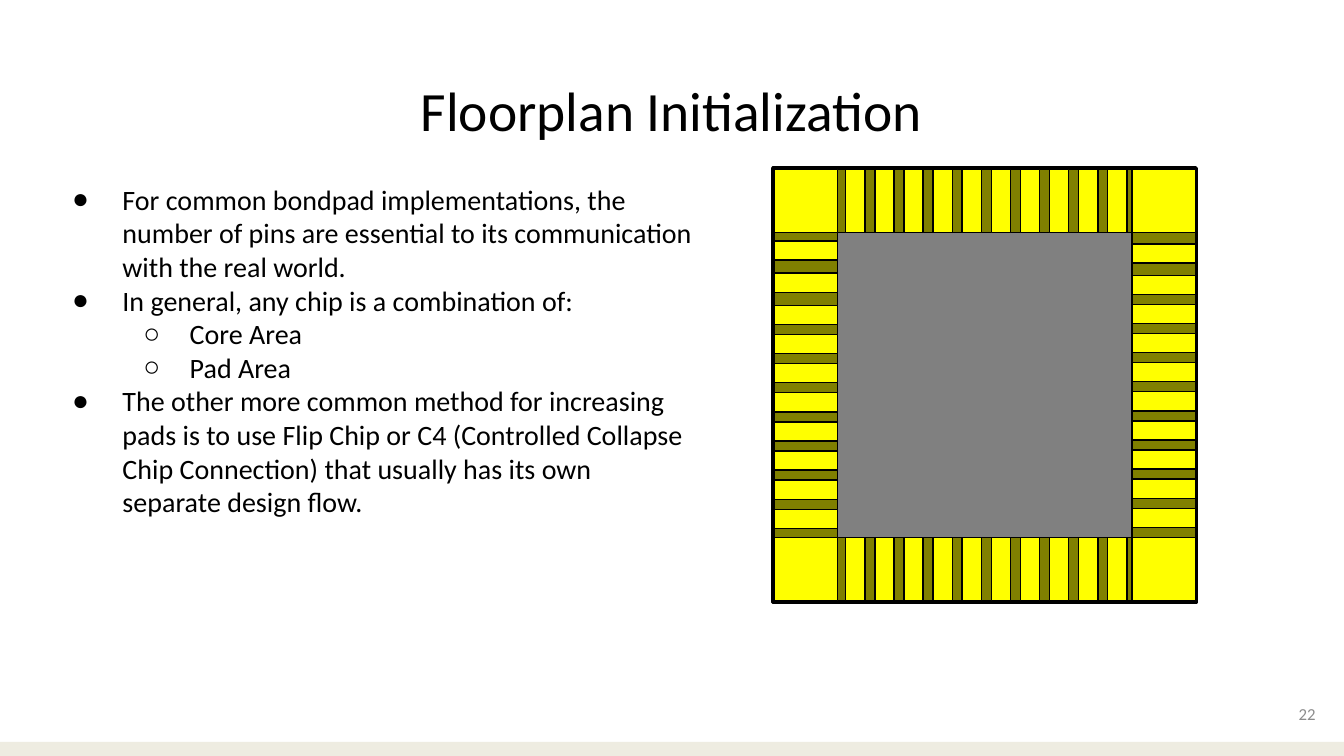
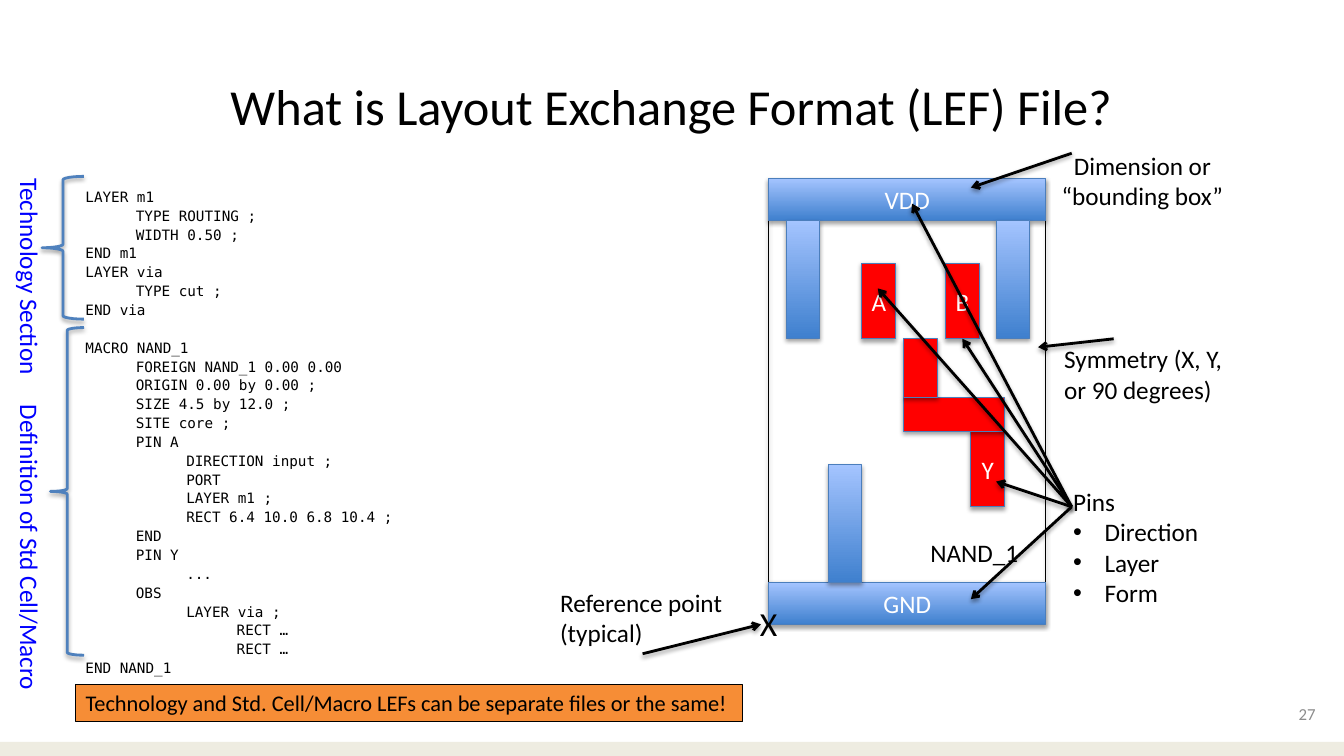
from pptx import Presentation
from pptx.dml.color import RGBColor
from pptx.enum import shapes, text
from pptx.oxml import parse_xml
from pptx.oxml.ns import qn
from pptx.util import Pt

BLACK = RGBColor(0x00, 0x00, 0x00)
WHITE = RGBColor(0xFF, 0xFF, 0xFF)
BAND = RGBColor(0xEE, 0xEC, 0xE1)
NUMBER_GRAY = RGBColor(0x8C, 0x8C, 0x8C)
CORE_GRAY = RGBColor(0x80, 0x80, 0x80)
OLIVE = RGBColor(0x80, 0x80, 0x00)
YELLOW = RGBColor(0xFF, 0xFF, 0x00)
LABEL_BLUE = RGBColor(0x00, 0x00, 0xFF)
BRACE_BLUE = RGBColor(0x4F, 0x81, 0xBD)
EDGE_BLUE = RGBColor(0x4B, 0x7E, 0xBC)
METAL = (RGBColor(0x3F, 0x80, 0xCE), RGBColor(0xA4, 0xC4, 0xFF))
RED = RGBColor(0xFF, 0x00, 0x00)
ORANGE = RGBColor(0xF6, 0x8D, 0x36)

FONT, CODE_FONT = "Calibri", "DejaVu Sans Mono"
RECT, BRACE = shapes.MSO_SHAPE.RECTANGLE, shapes.MSO_SHAPE.LEFT_BRACE
LEFT, CENTER, RIGHT = text.PP_ALIGN.LEFT, text.PP_ALIGN.CENTER, text.PP_ALIGN.RIGHT
TOP, MIDDLE = text.MSO_ANCHOR.TOP, text.MSO_ANCHOR.MIDDLE
A_NS = 'xmlns:a="http://schemas.openxmlformats.org/drawingml/2006/main"'
SHADOW = (f'<a:outerShdw {A_NS} blurRad="40000" dist="23000" dir="5400000" rotWithShape="0">'
          '<a:srgbClr val="000000"><a:alpha val="36000"/></a:srgbClr></a:outerShdw>')


def box(s, area, fill=None, line=None, width=1, shape=RECT, shadow=False):
    """Draw a preset shape; a pair of colours as fill gives a bottom-to-top gradient."""
    sp = s.shapes.add_shape(shape, *map(Pt, area))
    if fill is None:
        sp.fill.background()
    elif fill is METAL:
        sp.fill.gradient()
        sp.fill.gradient_angle = 90
        for stop, color in zip(sp.fill.gradient_stops, fill):
            stop.color.rgb = color
    else:
        sp.fill.solid()
        sp.fill.fore_color.rgb = fill
    if line is None:
        sp.line.fill.background()
    else:
        sp.line.color.rgb = line
        sp.line.width = Pt(width)
    sp.shadow.inherit = False
    if shadow:
        sp.element.spPr.find(qn("a:effectLst")).append(parse_xml(SHADOW))
    return sp


def write(sp, paras, size, color=BLACK, font=FONT, align=LEFT, anchor=TOP,
          pad=3.6, wrap=True, spacing=None):
    """Fill a shape with paragraphs given as (text, left margin, indent, bullet)."""
    tf = sp.text_frame
    frame = {"word_wrap": wrap, "vertical_anchor": anchor, "margin_left": Pt(7.2),
             "margin_right": Pt(7.2), "margin_top": Pt(pad), "margin_bottom": Pt(pad)}
    if not wrap:
        frame["auto_size"] = text.MSO_AUTO_SIZE.SHAPE_TO_FIT_TEXT
    for name, value in frame.items():
        setattr(tf, name, value)
    for i, (words, margin, indent, bullet) in enumerate(paras):
        p = tf.add_paragraph() if i else tf.paragraphs[0]
        pPr = p._p.get_or_add_pPr()
        pPr.set("marL", str(Pt(margin)))
        pPr.set("indent", str(Pt(indent)))
        if bullet:
            pPr.append(parse_xml(f'<a:buFont {A_NS} typeface="Arial"/>'))
            pPr.append(parse_xml(f'<a:buChar {A_NS} char="{bullet}"/>'))
        p.alignment = align
        if spacing:
            p.line_spacing = spacing
        r = p.add_run()
        r.text = words
        for name, value in {"size": Pt(size), "name": font}.items():
            setattr(r.font, name, value)
        r.font.color.rgb = color
    return sp


prs = Presentation()
prs.slide_width, prs.slide_height = Pt(960), Pt(540)

# Title, page number and bottom band of every slide
slides = []
for title, size, number in [("Floorplan Initialization", 39.6, "22"),
                            ("What is Layout Exchange Format (LEF) File?", 36, "27")]:
    s = prs.slides.add_slide(prs.slide_layouts[6])
    box(s, (0, 530, 960, 10), BAND)
    write(s.shapes.add_textbox(Pt(32.4), Pt(46.8), Pt(894.4), Pt(64)),
          [(title, 0, 0, None)], size, align=CENTER, pad=7.2)
    write(s.shapes.add_textbox(Pt(889.2), Pt(489.6), Pt(57.6), Pt(41)),
          [(number, 0, 0, None)], 12, NUMBER_GRAY, align=RIGHT, anchor=MIDDLE, pad=7.2)
    slides.append(s)
floorplan, lef = slides

# Floorplan: bullets
first, second = (48, -36, "●"), (96, -33, "○")
write(floorplan.shapes.add_textbox(Pt(32.4), Pt(123), Pt(471.6), Pt(356.4)), [
    ("For common bondpad implementations, the number of pins are essential to its "
     "communication with the real world.", *first),
    ("In general, any chip is a combination of:", *first),
    ("Core Area", *second),
    ("Pad Area", *second),
    ("The other more common method for increasing pads is to use Flip Chip or C4 "
     "(Controlled Collapse Chip Connection) that usually has its own separate design flow.",
     *first)], 20, pad=7.2)

# Floorplan: core, pad rows and corners
WEST, EAST, NORTH, SOUTH = 553, 808.6, 121, 383.8
DEPTH, PAD, PITCH = 45.3, 13.7, 20.8
box(floorplan, (552, 120, 302.4, 310.3), CORE_GRAY, BLACK, 2.5)
for y in (SOUTH, NORTH):
    box(floorplan, (554.4, y, 298, DEPTH), OLIVE, BLACK)
for x in (WEST, EAST):
    box(floorplan, (x, NORTH, DEPTH, 307.6), OLIVE, BLACK)
for y in (NORTH, SOUTH):
    for i in range(10):
        box(floorplan, (604.1 + i * PITCH, y, PAD, DEPTH), YELLOW, BLACK)
west_pads = [172.1, 195.1] + [218.1 + i * PITCH for i in range(8)]
east_pads = [174.2] + [196.6 + i * PITCH for i in range(9)]
for x, pads in ((WEST, west_pads), (EAST, east_pads)):
    for y in pads:
        box(floorplan, (x, y, DEPTH, PAD), YELLOW, BLACK)
for x in (WEST, EAST):
    for y in (NORTH, SOUTH):
        box(floorplan, (x, y, DEPTH, DEPTH), YELLOW, BLACK)

# LEF: code listing, as (depth, line)
code = [
    (0, "LAYER m1"), (1, "TYPE ROUTING ;"), (1, "WIDTH 0.50 ;"), (0, "END m1"),
    (0, "LAYER via"), (1, "TYPE cut ;"), (0, "END via"),
    (0, "MACRO NAND_1"), (1, "FOREIGN NAND_1 0.00 0.00"), (1, "ORIGIN 0.00 by 0.00 ;"),
    (1, "SIZE 4.5 by 12.0 ;"), (1, "SITE core ;"), (1, "PIN A"),
    (2, "DIRECTION input ;"), (2, "PORT"), (2, "LAYER m1 ;"),
    (2, "RECT 6.4 10.0 6.8 10.4 ;"), (1, "END"), (1, "PIN Y"), (2, "..."),
    (1, "OBS"), (2, "LAYER via ;"), (3, "RECT …"), (3, "RECT …"), (0, "END NAND_1")]
listing = write(lef.shapes.add_textbox(Pt(54), Pt(126), Pt(381.6), Pt(369.4)),
                [(line, 36 * depth, 0, None) for depth, line in code],
                10.2, font=CODE_FONT, pad=7.2, spacing=1.1)
for p in listing.text_frame.paragraphs:
    if p.text.startswith("MACRO"):
        p.space_before = Pt(13.4)

# LEF: section labels and braces
for label, y, h in [("Technology Section", 120.2, 150.5),
                    ("Definition of Std Cell/Macro", 282.2, 213.8)]:
    sp = lef.shapes.add_textbox(0, Pt(y), Pt(36), Pt(h))
    write(sp, [(label, 0, 0, None)], 18, LABEL_BLUE, wrap=False)
    sp.text_frame._txBody.bodyPr.set("vert", "vert")
for area in [(30, 126, 30, 102), (36, 234, 24, 234)]:
    box(lef, area, None, BRACE_BLUE, 2, BRACE, True)
write(box(lef, (54, 489, 476.6, 26.6), ORANGE, BLACK, 0.75),
      [("Technology and Std. Cell/Macro LEFs can be separate files or the same!", 0, 0, None)],
      16, wrap=False)

# LEF: NAND cell
box(lef, (549, 127.5, 198, 318), None, BLACK, 0.75, shadow=True)
cell = {}
for label, fill, area in [
        ("VDD", METAL, (549, 127.5, 198, 30)), ("GND", METAL, (549, 416, 198, 30)),
        ("", METAL, (561.5, 157.5, 24, 84)), ("", METAL, (711.5, 157.5, 24, 84)),
        ("", METAL, (591.5, 332, 24, 84)),
        ("A", RED, (615.5, 188, 24, 54)), ("B", RED, (675.5, 188, 24, 54)),
        ("Y", RED, (693.5, 308, 24, 54)),
        ("", RED, (645.5, 284, 72, 24)), ("", RED, (645.5, 242, 24, 42))]:
    sp = box(lef, area, fill, EDGE_BLUE, 0.75, shadow=True)
    if label:
        cell[label] = write(sp, [(label, 0, 0, None)], 18, WHITE, align=CENTER, anchor=MIDDLE)

# LEF: notes around the cell
notes = {}
for label, area, size, align, wrap in [
        ("NAND_1", (657.5, 380, 78, 29), 18, LEFT, False),
        ("Dimension or “bounding box”", (747, 103.7, 138, 51), 18, CENTER, True),
        ("Symmetry (X, Y, or 90 degrees)", (753, 242, 132, 51), 18, LEFT, True),
        ("X", (535.7, 427, 27.4, 36), 24, LEFT, False),
        ("Reference point (typical)", (393, 416, 132, 51), 18, LEFT, True)]:
    sp = lef.shapes.add_textbox(*map(Pt, area))
    notes[label] = write(sp, [(label, 0, 0, None)], size, align=align, wrap=wrap)
write(lef.shapes.add_textbox(Pt(759.5), Pt(344), Pt(138), Pt(94.5)),
      [("Pins", 0, 0, None)]
      + [(item, 22.5, -22.5, "•") for item in ("Direction", "Layer", "Form")], 18)

# LEF: arrows
pins = (765.5, 362)
reference = notes["Reference point (typical)"]
for start, end, source, target in [
        ((765.5, 109.5), (693.5, 134), None, None),
        ((795.5, 242), (741.5, 248), None, None),
        (pins, (627, 206), None, None),
        (pins, (651.5, 145.5), None, None),
        (pins, (687.5, 242), None, cell["B"]),
        (pins, (711.5, 344), None, None),
        (pins, (693.5, 428), None, None),
        ((459, 467), (543.5, 446), reference, None)]:
    arrow = lef.shapes.add_connector(shapes.MSO_CONNECTOR.STRAIGHT, *map(Pt, start + end))
    if source:
        arrow.begin_connect(source, 2)
    if target:
        arrow.end_connect(target, 2)
    arrow.line.color.rgb = BLACK
    arrow.line.width = Pt(2)
    spPr = arrow.element.spPr
    spPr.find(qn("a:ln")).append(parse_xml(f'<a:tailEnd {A_NS} type="arrow"/>'))
    spPr.append(parse_xml(f"<a:effectLst {A_NS}>{SHADOW}</a:effectLst>"))

prs.save("out.pptx")
